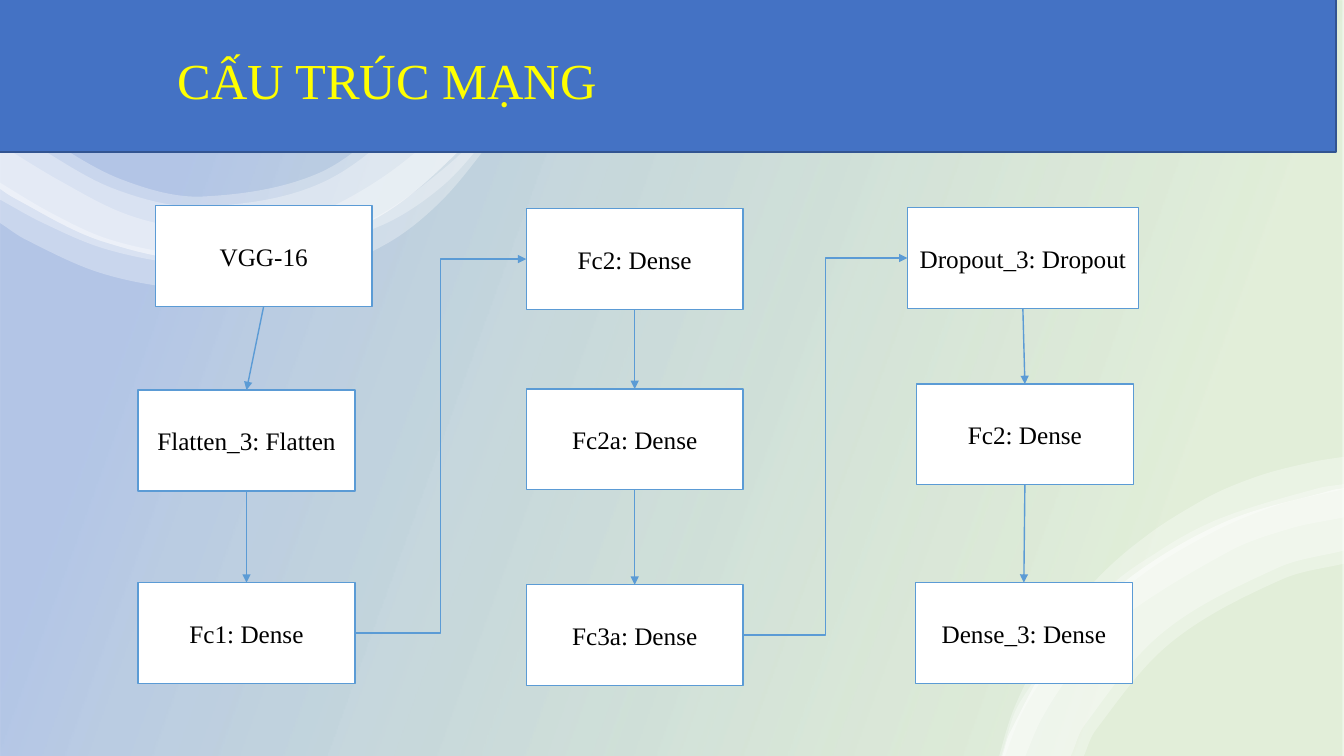
from dataclasses import dataclass
from math import dist

from lxml import etree
from pptx import Presentation
from pptx.dml.color import RGBColor
from pptx.enum.shapes import MSO_CONNECTOR, MSO_SHAPE
from pptx.enum.text import MSO_ANCHOR, PP_ALIGN
from pptx.oxml.ns import qn
from pptx.util import Pt

PX = 9144  # one px is a hundredth of an inch
SLIDE_WIDTH, SLIDE_HEIGHT = 1333, 750
TITLE_ONLY = 5
FONT = "Times New Roman"
COLOURS = {
    "white": "FFFFFF",
    "black": "000000",
    "yellow": "FFFF00",
    "green": "70AD47",
    "blue": "4472C4",
    "banner_line": "325491",
    "accent": "5B9BD5",
}
RECTANGLE = MSO_SHAPE.RECTANGLE
STRAIGHT, ELBOW = MSO_CONNECTOR.STRAIGHT, MSO_CONNECTOR.ELBOW
TOP, LEFT, BOTTOM, RIGHT = range(4)  # connection sites of a rectangle

Point = tuple[float, float]


@dataclass
class Layer:
    """A network layer, drawn as a box; the list order is the flow order."""
    text: str
    left: int
    top: int
    width: int = 215
    height: int = 100


@dataclass
class Ribbon:
    """A curved band between two edges, the second running back."""
    edge: list[Point]
    return_edge: list[Point]


COLUMNS = [
    [Layer("VGG-16", 154, 204), Layer("Flatten_3: Flatten", 137, 387), Layer("Fc1: Dense", 137, 578)],
    [Layer("Fc2: Dense", 522, 207), Layer("Fc2a: Dense", 522, 386), Layer("Fc3a: Dense", 522, 580)],
    [Layer("Dropout_3: Dropout", 900, 206, 229), Layer("Fc2: Dense", 909, 381), Layer("Dense_3: Dense", 908, 578)],
]

LEFT_OUTER = [(-2, 186), (15, 197), (100, 239), (200, 257), (360, 223), (475, 131), (528, 70), (557, 3), (557, -5)]
LEFT_RIBBONS = [
    Ribbon([(559, -5), (545, 50), (508, 97), (443, 165), (366, 219), (273, 248), (190, 253), (110, 238),
            (52, 212), (-2, 180)],
           [(-2, 220), (28, 239), (94, 269), (168, 285), (244, 284), (318, 270), (385, 241), (438, 199),
            (479, 150), (516, 102), (550, 51), (563, -5)]),
    Ribbon([(536, -5), (522, 39), (486, 81), (444, 123), (378, 177), (301, 217), (240, 228), (193, 228),
            (121, 211), (55, 177), (-2, 142)],
           [(-2, 197), (38, 219), (101, 246), (172, 261), (209, 261), (280, 254), (380, 223), (436, 187),
            (478, 142), (514, 97), (546, 47), (557, -5)]),
    Ribbon([(492, -5), (475, 44), (421, 102), (322, 180), (200, 205), (115, 188), (31, 142), (-2, 121)], LEFT_OUTER),
    Ribbon([(479, -5), (465, 36), (411, 96), (320, 170), (200, 195), (123, 179), (39, 133), (-2, 108)], LEFT_OUTER),
]

RIGHT_OUTER = [(994, 750), (1002, 726), (1052, 640), (1126, 569), (1219, 516), (1322, 486), (1334, 484)]
RIGHT_RIBBONS = [
    Ribbon([(991, 750), (1007, 700), (1039, 638), (1081, 582), (1134, 534), (1195, 495), (1246, 473),
            (1299, 459), (1334, 453)],
           [(1334, 485), (1274, 499), (1211, 524), (1152, 557), (1099, 598), (1053, 647), (1016, 703), (997, 750)]),
    Ribbon(RIGHT_OUTER, [(1334, 559), (1271, 575), (1162, 637), (1087, 724), (1075, 750)]),
    Ribbon([(993, 750), (1012, 696), (1093, 590), (1146, 549), (1206, 516), (1305, 485), (1334, 480)],
           [(1334, 513), (1281, 524), (1221, 546), (1114, 612), (1071, 657), (1036, 708), (1017, 750)]),
    Ribbon(RIGHT_OUTER, [(1334, 546), (1266, 564), (1154, 627), (1076, 719), (1062, 750)]),
]


def colour(name: str) -> RGBColor:
    return RGBColor.from_string(COLOURS[name])


def set_opacity(colour_element, percent: int) -> None:
    etree.SubElement(colour_element, qn("a:alpha")).set("val", str(percent * 1000))


def write_text(shape, text: str, *, size: int, colour_name: str, align=PP_ALIGN.LEFT,
               anchor=MSO_ANCHOR.TOP, line_spacing: float = 1.0, space_before: int = 0) -> None:
    frame = shape.text_frame
    frame.word_wrap = True
    frame.vertical_anchor = anchor
    paragraph = frame.paragraphs[0]
    paragraph.alignment = align
    paragraph.line_spacing = line_spacing
    paragraph.space_before = Pt(space_before)
    run = paragraph.add_run()
    run.text = text
    run.font.name = FONT
    run.font.size = Pt(size)
    run.font.color.rgb = colour(colour_name)


def add_box(slide, left: int, top: int, width: int, height: int, fill: str, line: str | None = None):
    shape = slide.shapes.add_shape(RECTANGLE, left * PX, top * PX, width * PX, height * PX)
    shape.shadow.inherit = False
    shape.fill.solid()
    shape.fill.fore_color.rgb = colour(fill)
    if line:
        shape.line.color.rgb = colour(line)
        shape.line.width = Pt(1)
    else:
        shape.line.fill.background()
    return shape


def handle(start: Point, before: Point, after: Point, length: float) -> Point:
    """Move from start by length, in the direction from before to after."""
    share = length / dist(before, after)
    return tuple(s + (a - b) * share for s, b, a in zip(start, before, after))


def curve_edge(points: list[Point], segments: list) -> None:
    """Turn the straight segments that join the points into smooth cubic ones."""
    padded = [points[0], *points, points[-1]]
    for a, b, c, d, segment in zip(padded, padded[1:], padded[2:], padded[3:], segments):
        length = dist(b, c) / 3
        segment.tag = qn("a:cubicBezTo")
        controls = (handle(b, a, c, length), handle(c, d, b, length))
        for index, (x, y) in enumerate(controls):
            control = etree.Element(qn("a:pt"), x=str(round(x)), y=str(round(y)))
            segment.insert(index, control)


def add_ribbons(slide, ribbons: list[Ribbon]) -> None:
    group = slide.shapes.add_group_shape()
    for ribbon in ribbons:
        outline = ribbon.edge + ribbon.return_edge
        builder = group.shapes.build_freeform(*outline[0], scale=PX)
        builder.add_line_segments(outline[1:], close=True)
        shape = builder.convert_to_shape()
        # A finer path grid lets the curve handles be whole numbers.
        geometry = shape._element.spPr.find(qn("a:custGeom"))
        segments = list(geometry.iter(qn("a:lnTo")))
        points = [(int(point.get("x")), int(point.get("y"))) for point in geometry.iter(qn("a:pt"))]
        turn = len(ribbon.edge)
        curve_edge(points[:turn], segments[:turn - 1])
        curve_edge(points[turn:], segments[turn:])
        shape.shadow.inherit = False
        shape.fill.solid()
        shape.fill.fore_color.rgb = colour("white")
        set_opacity(shape.fill._xPr.find(".//" + qn("a:srgbClr")), 30)
        shape.line.fill.background()


def add_background(slide) -> None:
    add_box(slide, 0, 0, SLIDE_WIDTH, SLIDE_HEIGHT, "white")
    wash = add_box(slide, 0, 0, SLIDE_WIDTH, SLIDE_HEIGHT, "white")
    wash.fill.gradient()
    wash.fill.gradient_angle = 160
    for stop, (position, name, opacity) in zip(
            wash.fill.gradient_stops, [(0.16, "green", 20), (0.85, "blue", 40)]):
        stop.position = position
        stop.color.rgb = colour(name)
        set_opacity(stop._gs.find(qn("a:srgbClr")), opacity)
    add_ribbons(slide, LEFT_RIBBONS)
    add_box(slide, -8, -3, SLIDE_WIDTH, 154, "blue", "banner_line")
    add_ribbons(slide, RIGHT_RIBBONS)


def add_title(slide, text: str) -> None:
    title = slide.shapes.title
    title.left, title.top, title.width, title.height = (value * PX for value in (166, 51, 578, 75))
    write_text(title, text, size=36, colour_name="yellow", line_spacing=0.9, space_before=10)
    slide.shapes._spTree.append(title._element)  # in front of the banner


def add_layer(slide, layer: Layer):
    box = add_box(slide, layer.left, layer.top, layer.width, layer.height, "white", "accent")
    write_text(box, layer.text, size=18, colour_name="black", align=PP_ALIGN.CENTER, anchor=MSO_ANCHOR.MIDDLE)
    return box


def add_arrow(slide, kind, source, source_site: int, target, target_site: int) -> None:
    arrow = slide.shapes.add_connector(kind, 0, 0, 0, 0)
    arrow.begin_connect(source, source_site)
    arrow.end_connect(target, target_site)
    arrow.line.color.rgb = colour("accent")
    arrow.line.width = Pt(1)
    etree.SubElement(arrow.line._get_or_add_ln(), qn("a:tailEnd")).set("type", "triangle")
    etree.SubElement(arrow._element.spPr, qn("a:effectLst"))


def main() -> None:
    presentation = Presentation()
    presentation.slide_width, presentation.slide_height = SLIDE_WIDTH * PX, SLIDE_HEIGHT * PX
    slide = presentation.slides.add_slide(presentation.slide_layouts[TITLE_ONLY])
    add_background(slide)
    add_title(slide, "CẤU TRÚC MẠNG")
    columns = [[add_layer(slide, layer) for layer in column] for column in COLUMNS]
    for column in columns:
        for upper, lower in zip(column, column[1:]):
            add_arrow(slide, STRAIGHT, upper, BOTTOM, lower, TOP)
    for column, following in zip(columns, columns[1:]):
        add_arrow(slide, ELBOW, column[-1], RIGHT, following[0], LEFT)
    presentation.save("out.pptx")


if __name__ == "__main__":
    main()
